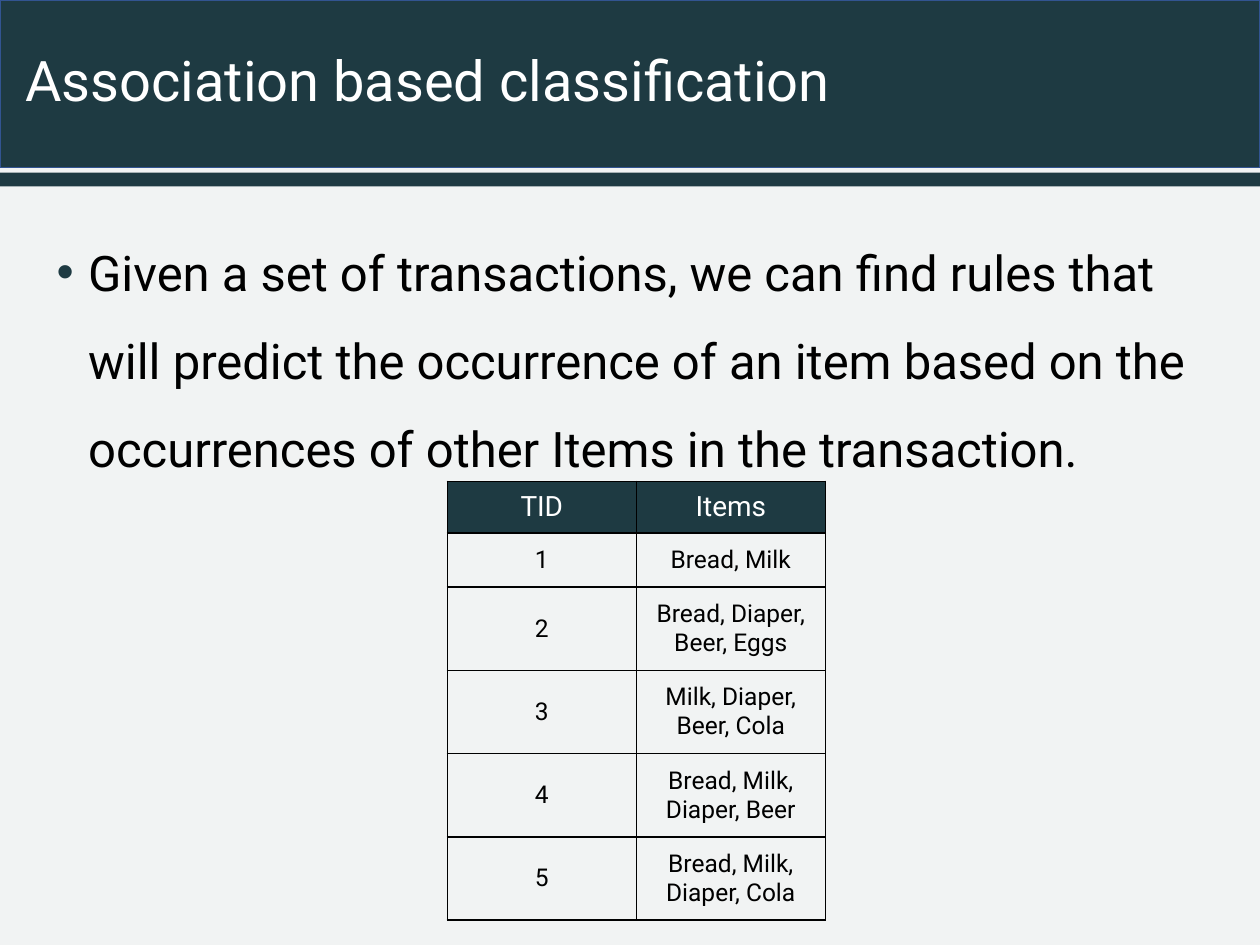
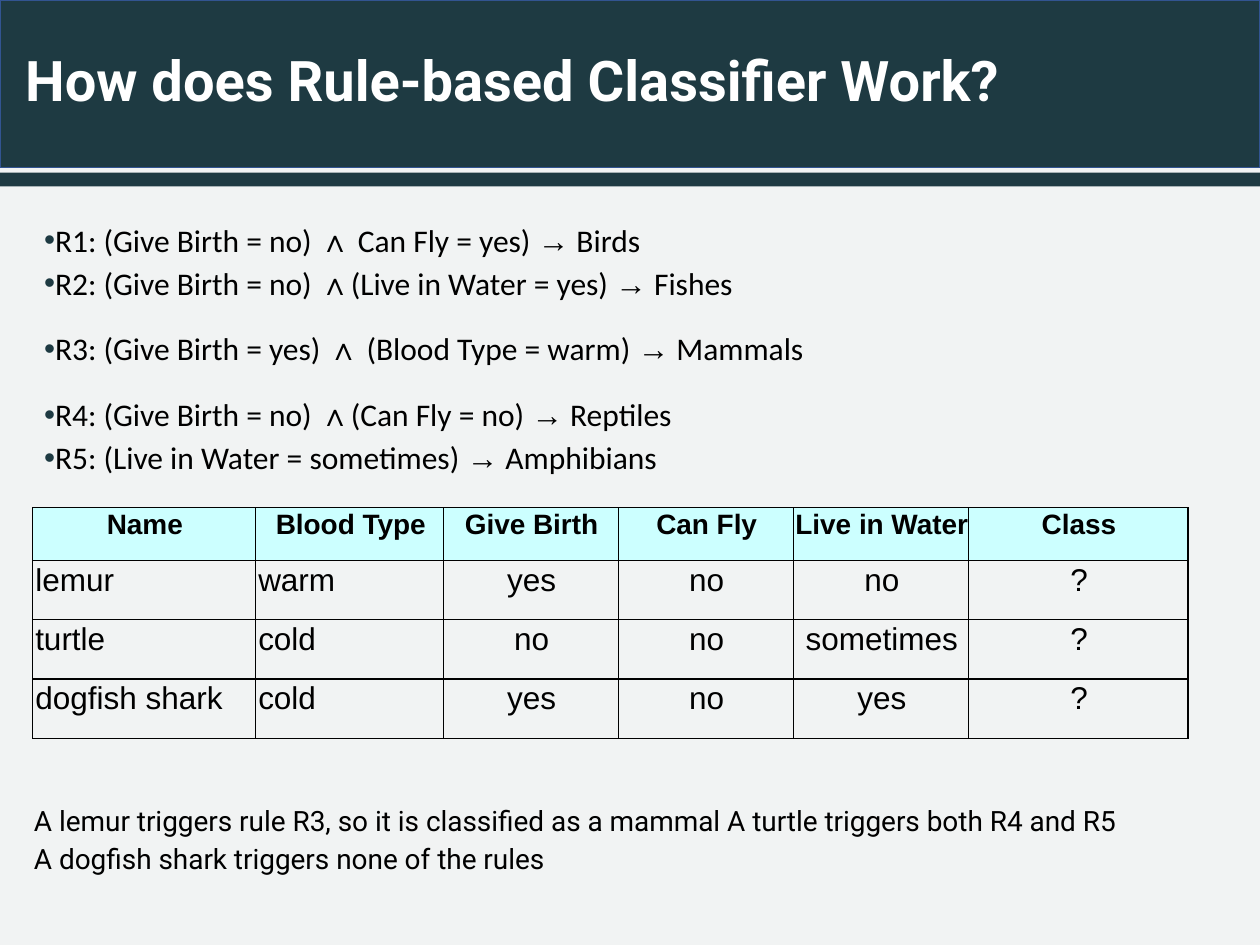
from dataclasses import dataclass
from itertools import groupby

from lxml import etree
from pptx import Presentation
from pptx import util as u
from pptx.dml.color import RGBColor
from pptx.enum import shapes, text as t
from pptx.oxml import ns


@dataclass(frozen=True)
class Theme:
    # Colours
    dark: str = "1E3A42"
    paper: str = "F1F3F3"
    edge: str = "325491"
    ink: str = "000000"
    white: str = "FFFFFF"
    aqua: str = "CCFFFF"
    # Fonts
    main: str = "Roboto"
    rule: str = "Calibri"
    plain: str = "Arial"
    # Type sizes
    title: int = 32
    lead: int = 28
    large: int = 18
    medium: int = 16
    small: int = 14


THEME = Theme()
LOGIC_SIGNS = "∧→"
LEFT, CENTER = t.PP_ALIGN.LEFT, t.PP_ALIGN.CENTER


def add_xml(parent, tag, **attributes):
    return etree.SubElement(parent, ns.qn(tag), attributes)


def write(para, text, font=THEME.main, size=THEME.medium, color=THEME.ink,
          bold=False, align=LEFT, spacing=1.0, before=0, margin=0, indent=0,
          bullet=False):
    """Fill a paragraph; logic signs are set in the plain font."""
    props = para._p.get_or_add_pPr()
    props.set("marL", str(u.Inches(margin)))
    props.set("indent", str(u.Inches(indent)))
    if bullet:
        add_xml(add_xml(props, "a:buClr"), "a:srgbClr", val=THEME.dark)
        add_xml(props, "a:buFont", typeface=THEME.plain)
        add_xml(props, "a:buChar", char="•")
    else:
        add_xml(props, "a:buNone")
    para.alignment = align
    para.line_spacing = spacing
    para.space_before = u.Pt(before)
    for is_sign, letters in groupby(text, lambda letter: letter in LOGIC_SIGNS):
        span = para.add_run()
        span.text = "".join(letters)
        span.font.name = THEME.plain if is_sign else font
        span.font.size = u.Pt(size)
        span.font.bold = bold
        span.font.color.rgb = RGBColor.from_string(color)


class SlideBuilder:
    def __init__(self, deck, theme):
        self.deck = deck
        self.theme = theme
        self.page = None
        self.layout = deck.slide_layouts[1]
        background = self.layout.background.fill
        background.solid()
        background.fore_color.rgb = RGBColor.from_string(theme.paper)

    def new_page(self, title, bold=False):
        first = self.page is None
        self.page = self.deck.slides.add_slide(self.layout)
        if first:
            self.add_band(0, 1.33, 100, edge=self.theme.edge)
            self.add_band(1.37, 0.11, 101)
        box = self.page.shapes.title
        frame = self.place(box, 0.1, 0, 9.9, 1.33)
        frame.vertical_anchor = t.MSO_ANCHOR.MIDDLE
        write(frame.paragraphs[0], title, size=self.theme.title,
              color=self.theme.white, bold=bold, spacing=0.9)

    def add_band(self, top, height, number, edge=None):
        """Draw a header band and hand it to the shared layout."""
        band = self.page.shapes.add_shape(
            shapes.MSO_SHAPE.RECTANGLE, 0, u.Inches(top),
            self.deck.slide_width, u.Inches(height))
        band.name = f"Header band {number}"
        band.shadow.inherit = False
        band.fill.solid()
        band.fill.fore_color.rgb = RGBColor.from_string(self.theme.dark)
        if edge:
            band.line.color.rgb = RGBColor.from_string(edge)
            band.line.width = u.Pt(1)
        else:
            band.line.fill.background()
        band._element.nvSpPr.cNvPr.set("id", str(number))
        self.layout.shapes._spTree.insert(2, band._element)

    def place(self, box, left, top, width, height, insets=None):
        box.left, box.top = u.Inches(left), u.Inches(top)
        box.width, box.height = u.Inches(width), u.Inches(height)
        frame = box.text_frame
        frame.word_wrap = True
        frame.auto_size = t.MSO_AUTO_SIZE.NONE
        if insets:
            self.set_insets(frame, insets)
        return frame

    @staticmethod
    def set_insets(target, insets):
        (target.margin_left, target.margin_top,
         target.margin_right, target.margin_bottom) = map(u.Inches, insets)

    def fill_frame(self, frame, lines, **style):
        """Write (text, own format) pairs, one paragraph each."""
        for index, (words, own) in enumerate(lines):
            para = frame.paragraphs[0] if index == 0 else frame.add_paragraph()
            write(para, words, **{**style, **own})

    def add_body(self, lines, height, insets=None, **style):
        frame = self.place(self.page.placeholders[1], 0.35, 1.64, 9.3,
                           height, insets)
        frame.vertical_anchor = t.MSO_ANCHOR.TOP
        self.fill_frame(frame, lines, bullet=True, indent=-0.25, **style)

    def add_text(self, lines, left, top, width, height, insets, **style):
        box = self.page.shapes.add_textbox(0, 0, 0, 0)
        frame = self.place(box, left, top, width, height, insets)
        self.fill_frame(frame, lines, **style)

    def add_table(self, rows, left, top, widths, heights, border, style_cell):
        """style_cell(row, column) gives fill, insets and text format."""
        table = self.page.shapes.add_table(
            len(rows), len(widths), u.Inches(left), u.Inches(top),
            u.Inches(sum(widths)), u.Inches(sum(heights))).table
        table.first_row = table.horz_banding = False
        for column, width in zip(table.columns, widths):
            column.width = u.Inches(width)
        for row, height in zip(table.rows, heights):
            row.height = u.Inches(height)
        for r, values in enumerate(rows):
            for c, value in enumerate(values):
                cell = table.cell(r, c)
                fill, insets, style = style_cell(r, c)
                self.set_borders(cell, border)
                self.set_insets(cell, insets)
                cell.vertical_anchor = t.MSO_ANCHOR.MIDDLE
                if fill:
                    cell.fill.solid()
                    cell.fill.fore_color.rgb = RGBColor.from_string(fill)
                else:
                    cell.fill.background()
                write(cell.text_frame.paragraphs[0], value, **style)

    def set_borders(self, cell, width):
        props = cell._tc.get_or_add_tcPr()
        for side in "LRTB":
            line = add_xml(props, f"a:ln{side}", w=str(u.Pt(width)))
            add_xml(add_xml(line, "a:solidFill"), "a:srgbClr",
                    val=self.theme.ink)


def style_transaction(row, column):
    if row == 0:
        return THEME.dark, (0.07,) * 4, dict(
            size=THEME.medium, color=THEME.white, align=CENTER)
    return None, (0.07, 0.1) * 2, dict(size=THEME.small, align=CENTER)


def style_animal(row, column):
    style = dict(font=THEME.plain, align=CENTER, margin=0.01)
    if row == 0:
        style.update(size=THEME.medium, bold=True, spacing=u.Pt(7.6))
        if column == 1:
            style.update(align=LEFT, margin=0.16)
        return THEME.aqua, (0,) * 4, style
    style.update(size=THEME.large, spacing=u.Pt(8.6))
    if column < 2:
        style.update(align=LEFT, margin=0.02)
    return None, (0,) * 4, style


def association_page(builder):
    builder.new_page("Association based classification")
    builder.add_body(
        [("Given a set of transactions, we can find rules that will predict "
          "the occurrence of an item based on the occurrences of other Items "
          "in the transaction.", {})],
        5.67, size=THEME.lead, spacing=1.5, margin=0.25)
    baskets = ["Bread, Milk", "Bread, Diaper, Beer, Eggs",
               "Milk, Diaper, Beer, Cola", "Bread, Milk, Diaper, Beer",
               "Bread, Milk, Diaper, Cola"]
    rows = [("TID", "Items")]
    rows += [(str(number), items) for number, items in enumerate(baskets, 1)]
    builder.add_table(rows, 3.55, 3.82, [1.5] * 2, [0.41, 0.43] + [0.66] * 4,
                      1, style_transaction)


def rule_page(builder):
    builder.new_page("How does Rule-based Classifier Work?", bold=True)
    # Rules
    loose = dict(spacing=1.28, before=10)
    builder.add_body(
        [("R1: (Give Birth = no) ∧ Can Fly = yes) → Birds", {}),
         ("R2: (Give Birth = no) ∧(Live in Water = yes) → Fishes",
          dict(before=3)),
         ("R3: (Give Birth = yes) ∧ (Blood Type = warm) → Mammals", loose),
         ("R4: (Give Birth = no) ∧(Can Fly = no) → Reptiles", loose),
         ("R5: (Live in Water = sometimes) → Amphibians", dict(before=3))],
        2.11, insets=(0, 0.11, 0, 0), font=THEME.rule, size=THEME.large,
        margin=0.01)
    # Animals to classify
    rows = [
        ("Name", "Blood Type", "Give Birth", "Can Fly", "Live in Water",
         "Class"),
        ("lemur", "warm", "yes", "no", "no", "?"),
        ("turtle", "cold", "no", "no", "sometimes", "?"),
        ("dogfish shark", "cold", "yes", "no", "yes", "?"),
    ]
    builder.add_table(rows, 0.26, 4.03, [1.77, 1.49, 1.39, 1.39, 1.39, 1.74],
                      [0.42] + [0.47] * 3, 0.75, style_animal)
    # Outcome
    builder.add_text(
        [("A lemur triggers rule R3, so it is classified as a mammal "
          "A turtle triggers both R4 and R5", dict(spacing=1.28)),
         ("A dogfish shark triggers none of the rules", dict(before=3))],
        0.26, 6.28, 9.38, 0.67, (0, 0.02, 0, 0), margin=0.01)


def main():
    deck = Presentation()
    deck.slide_width, deck.slide_height = u.Inches(10), u.Inches(7.5)
    builder = SlideBuilder(deck, THEME)
    association_page(builder)
    rule_page(builder)
    deck.save("out.pptx")


if __name__ == "__main__":
    main()
